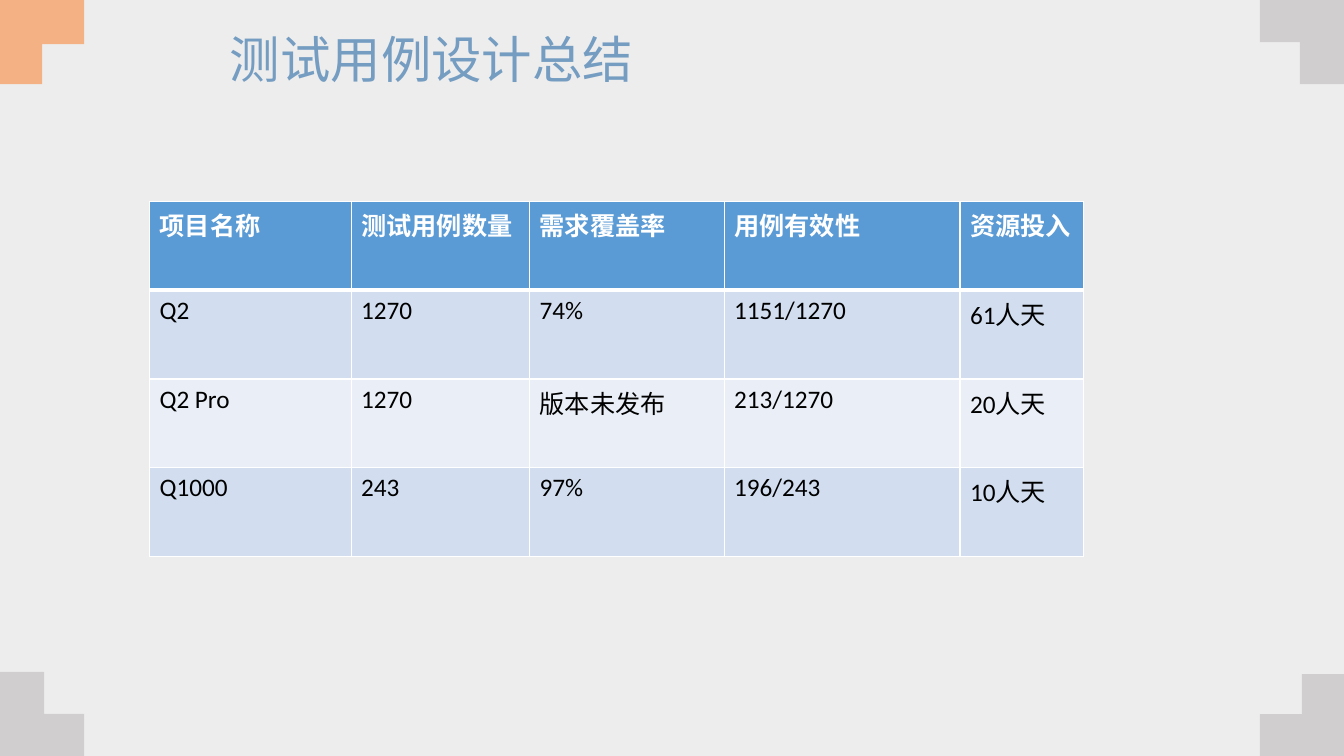
"""Build the slide that sums up test case design per project."""
from dataclasses import dataclass
from typing import Any

from lxml import etree
from pptx import Presentation
from pptx import util as u
from pptx.dml.color import RGBColor
from pptx.enum import text
from pptx.oxml import ns

BACKGROUND = RGBColor(0xED, 0xED, 0xED)
GREY = RGBColor(0xD0, 0xCE, 0xCE)
ORANGE = RGBColor(0xF4, 0xB1, 0x83)
TITLE_BLUE = RGBColor(0x75, 0x9D, 0xC2)
HEADER_BLUE = RGBColor(0x5B, 0x9B, 0xD5)
BANDS = (RGBColor(0xEA, 0xEF, 0xF7), RGBColor(0xD2, 0xDE, 0xEF))
WHITE = RGBColor(0xFF, 0xFF, 0xFF)
BLACK = RGBColor(0, 0, 0)
CJK_FONT = "Noto Sans CJK SC"
CORNER_OUTLINE = ((0, 0), (31.5, 0), (31.5, 30), (60, 30), (60, 60), (0, 60))
COLUMN_WIDTHS = (144, 127.5, 139, 168.5, 88)
ROW_HEIGHT = 63.36
ROWS = (
    ("项目名称", "测试用例数量", "需求覆盖率", "用例有效性", "资源投入"),
    ("Q2", "1270", "74%", "1151/1270", "61人天"),
    ("Q2 Pro", "1270", "版本未发布", "213/1270", "20人天"),
    ("Q1000", "243", "97%", "196/243", "10人天"),
)


@dataclass(frozen=True)
class Corner:
    left: float
    top: float
    rotation: int
    color: RGBColor


CORNERS = (
    Corner(0, 480, 0, GREY),
    Corner(0, 0, 90, ORANGE),
    Corner(900, 0, 180, GREY),
    Corner(900, 481.5, 270, GREY),
)


def set_format(target: Any, values: dict[str, Any]) -> None:
    for name, value in values.items():
        setattr(target, name, value)


def write_text(tf: Any, content: str, font: dict[str, Any], color: RGBColor) -> Any:
    p = tf.paragraphs[0]
    p.alignment = text.PP_ALIGN.LEFT
    r = p.add_run()
    r.text = content
    set_format(r.font, font)
    r.font.color.rgb = color
    ea = etree.SubElement(r.font._element, ns.qn("a:ea"))
    ea.set("typeface", CJK_FONT)
    return p


def draw_corner(s: Any, corner: Corner) -> None:
    points = [(u.Pt(corner.left + x), u.Pt(corner.top + y)) for x, y in CORNER_OUTLINE]
    builder = s.shapes.build_freeform(*points[0])
    builder.add_line_segments(points[1:], close=True)
    sp = builder.convert_to_shape()
    sp.rotation = corner.rotation
    sp.shadow.inherit = False
    sp.fill.solid()
    sp.fill.fore_color.rgb = corner.color
    sp.line.fill.background()


def draw_title(s: Any) -> None:
    sp = s.shapes.title
    set_format(sp, {"left": u.Pt(157), "top": u.Pt(20),
                    "width": u.Pt(646.5), "height": u.Pt(48.5)})
    tf = sp.text_frame
    set_format(tf, {"word_wrap": True, "auto_size": text.MSO_AUTO_SIZE.NONE,
                    "vertical_anchor": text.MSO_ANCHOR.MIDDLE})
    font = {"name": CJK_FONT, "size": u.Pt(36)}
    write_text(tf, "测试用例设计总结", font, TITLE_BLUE).line_spacing = 0.9


def add_borders(cell: Any, row: int) -> None:
    tc_pr = cell._tc.get_or_add_tcPr()
    widths = {"lnL": 1, "lnR": 1, "lnT": 3 if row == 1 else 1, "lnB": 3 if row == 0 else 1}
    for index, (side, width) in enumerate(widths.items()):
        ln = etree.Element(ns.qn(f"a:{side}"), w=str(u.Pt(width)))
        fill = etree.SubElement(ln, ns.qn("a:solidFill"))
        etree.SubElement(fill, ns.qn("a:srgbClr"), val=str(WHITE))
        tc_pr.insert(index, ln)


def draw_table(s: Any) -> None:
    frame = s.shapes.add_table(len(ROWS), len(COLUMN_WIDTHS), u.Pt(106.8), u.Pt(144),
                               u.Pt(sum(COLUMN_WIDTHS)), u.Pt(ROW_HEIGHT * len(ROWS)))
    table = frame.table
    for column, width in zip(table.columns, COLUMN_WIDTHS):
        column.width = u.Pt(width)
    for i, row in enumerate(ROWS):
        table.rows[i].height = u.Pt(ROW_HEIGHT)
        header = i == 0
        font = {"name": "Calibri", "size": u.Pt(18), "bold": header}
        for j, content in enumerate(row):
            cell = table.cell(i, j)
            cell.fill.solid()
            cell.fill.fore_color.rgb = HEADER_BLUE if header else BANDS[i % 2]
            write_text(cell.text_frame, content, font, WHITE if header else BLACK)
            add_borders(cell, i)


def main() -> None:
    prs = Presentation()
    set_format(prs, {"slide_width": u.Pt(960), "slide_height": u.Pt(540)})
    s = prs.slides.add_slide(prs.slide_layouts[5])
    s.background.fill.solid()
    s.background.fill.fore_color.rgb = BACKGROUND
    for corner in CORNERS:
        draw_corner(s, corner)
    draw_title(s)
    draw_table(s)
    prs.save("out.pptx")


if __name__ == "__main__":
    main()
